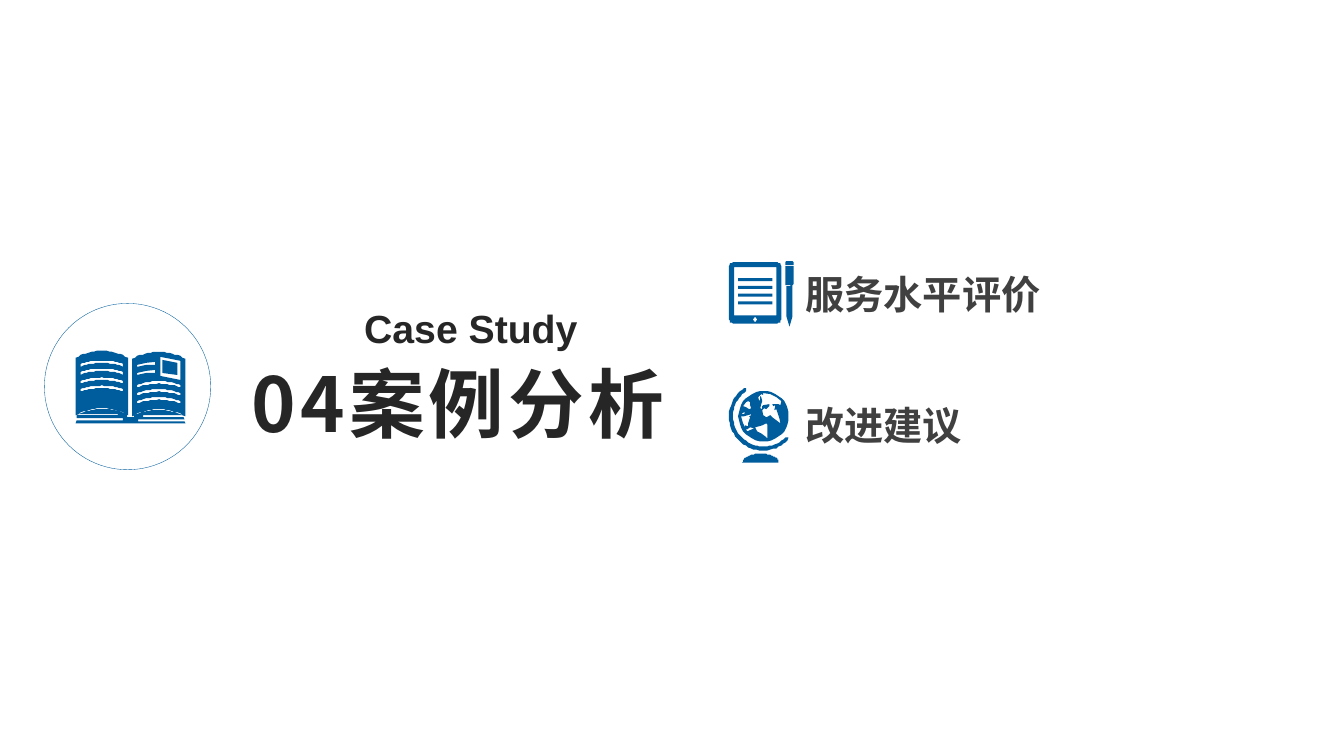
from math import cos, radians, sin

from lxml.etree import SubElement
from pptx import Presentation
from pptx.dml.color import RGBColor
from pptx.enum.shapes import MSO_SHAPE as Preset
from pptx.enum.text import MSO_ANCHOR as Anchor, PP_ALIGN as Align
from pptx.oxml.ns import qn
from pptx.util import Inches, Pt

COLORS = {"accent": "005D9D", "heading": "262626", "topic": "404040"}
LATIN, CHINESE = "Arial", "Noto Sans CJK SC"
COLUMNS, ROWS = 1333, 750


def oval(x, y, rx, ry, start=0, end=360, steps=40):
    angles = [radians(start + (end - start) * i / steps) for i in range(steps + 1)]
    return [(x + rx * cos(a), y + ry * sin(a)) for a in angles]


def rounded(left, top, right, bottom, radius):
    corners = [(right, bottom, -1, -1), (left, bottom, 1, -1),
               (left, top, 1, 1), (right, top, -1, 1)]
    return [point for i, (x, y, dx, dy) in enumerate(corners)
            for point in oval(x + dx * radius, y + dy * radius, radius, radius,
                              90 * i, 90 * (i + 1), 6)]


def arch(left, right, edge, rise, steps=20):
    shares = [i / steps for i in range(steps + 1)]
    return [(left + (right - left) * s, edge - 4 * rise * s * (1 - s)) for s in shares]


def band(left, right, top, bottom, rise):
    return arch(left, right, top, rise) + arch(right, left, bottom, rise)


class SlideBuilder:
    def __init__(self, deck):
        self.slide = deck.slides.add_slide(deck.slide_layouts[5])
        self.canvas = self.slide.shapes
        self.column = deck.slide_width / COLUMNS
        self.row = deck.slide_height / ROWS

    def box(self, left, top, width, height):
        return (round(left * self.column), round(top * self.row),
                round(width * self.column), round(height * self.row))

    def paint(self, shape):
        shape.shadow.inherit = False
        shape.fill.solid()
        shape.fill.fore_color.rgb = RGBColor.from_string(COLORS["accent"])
        shape.line.fill.background()

    def ring(self, *place):
        circle = self.canvas.add_shape(Preset.OVAL, *self.box(*place))
        circle.shadow.inherit = False
        circle.fill.background()
        circle.line.color.rgb = RGBColor.from_string(COLORS["accent"])
        circle.line.width = Pt(0.25)

    def bar(self, *place):
        self.paint(self.canvas.add_shape(Preset.RECTANGLE, *self.box(*place)))

    def outline(self, *contours):
        first, *others = contours
        builder = self.canvas.build_freeform(*first[0], scale=(self.column, self.row))
        builder.add_line_segments(first[1:])
        for contour in others:
            builder.move_to(*contour[0])
            builder.add_line_segments(contour[1:])
        self.paint(builder.convert_to_shape())

    def start_icon(self):
        self.canvas = self.slide.shapes.add_group_shape().shapes

    def end_icon(self):
        self.canvas = self.slide.shapes

    def style(self, holder, words, size, font, color, align, anchor):
        frame = holder.text_frame
        frame.text = words
        frame.word_wrap = True
        frame.vertical_anchor = anchor
        paragraph = frame.paragraphs[0]
        paragraph.alignment = align
        run = paragraph.runs[0]
        run.font.size = Pt(size)
        run.font.bold = True
        run.font.name = font
        run.font.color.rgb = RGBColor.from_string(COLORS[color])
        properties = run.font._element
        SubElement(properties, qn("a:ea")).set("typeface", font)
        return paragraph, properties

    def title(self, words, *place):
        heading = self.slide.shapes.title
        heading.left, heading.top, heading.width, heading.height = self.box(*place)
        paragraph, properties = self.style(heading, words, 54, CHINESE, "heading",
                                           Align.CENTER, Anchor.TOP)
        paragraph.line_spacing = Pt(64.5)
        properties.set("spc", "300")

    def text(self, words, place, font, color, align=Align.LEFT):
        holder = self.canvas.add_textbox(*self.box(*place))
        self.style(holder, words, 28, font, color, align, Anchor.MIDDLE)


def draw_book(page):
    page.start_icon()
    page.outline(
        [(137, 418), (137, 416), (183, 416), (182, 414), (142, 414), (142, 412)]
        + arch(181, 133, 412, 5) + [(133, 414), (126, 414)]
        + arch(126, 78, 411, 5)
        + [(117, 411), (117, 412), (76, 412), (76, 415), (122, 415), (122, 417),
           (76, 417), (75, 420), (184, 420), (183, 418)])
    page.outline(band(75, 127, 355, 412, 7),
                 *[band(80, 122, y, y + 2.5, 3.5) for y in (361, 369, 378, 386)])
    page.outline([(161, 357), (176, 360), (176, 372), (161, 370)])
    short_lines = [[(136, y), (145, y - 2), (154, y - 3), (154, y - 0.5),
                    (145, y + 0.5), (136, y + 2.5)] for y in (362, 370)]
    page.outline(band(131, 184, 356, 413, 7),
                 [(159, 354), (179, 358), (179, 377), (159, 373)], *short_lines,
                 *[band(136, 179, y, y + 2.5, 4) for y in (382, 390, 398)])
    page.end_icon()


def draw_tablet(page):
    page.start_icon()
    page.outline(rounded(723, 260, 775, 321, 5), rounded(728, 265, 770, 313, 1),
                 oval(749, 317, 2, 2))
    page.outline([(780, 259), (786, 259), (787, 260), (787, 263), (779, 263), (779, 260)])
    page.outline([(779, 264), (787, 264), (787, 282), (786, 283), (786, 314),
                  (783, 324), (780, 314), (780, 284), (784, 284), (784, 283), (779, 283)])
    for line in range(4):
        page.bar(732, 276 + 7.67 * line, 34, 3)
    page.end_icon()


def draw_globe(page):
    stand = oval(754.5, 459, 18, 9, 180, 360)
    meridian = (oval(757, 413, 34, 34, 44, 236) + [(740, 385)]
                + oval(757, 413, 30, 30, 236, 44) + [(782, 434)])
    land = [
        [(735, 410), (738, 411), (739, 409)],
        [(753, 398), (754, 396), (754, 393), (755, 394), (756, 398), (755, 401),
         (754, 405), (756, 406), (756, 403), (757, 402), (763, 401), (763, 403),
         (760, 406), (758, 405), (756, 407), (757, 412), (760, 414), (764, 412),
         (766, 414), (774, 420), (773, 415), (770, 406), (768, 407), (769, 402),
         (767, 403), (766, 401), (772, 401), (774, 402), (775, 398), (770, 394),
         (764, 391), (757, 390), (757, 392), (755, 391), (752, 394)],
        [(749, 424), (751, 428), (755, 430), (759, 433), (761, 435), (761, 421),
         (760, 420), (756, 422)],
        [(743, 413), (745, 412), (745, 411), (738, 413), (735, 413), (737, 420),
         (741, 428), (748, 425), (744, 424), (741, 426), (739, 425), (739, 422),
         (742, 423), (742, 420), (744, 414)],
        [(740, 399), (737, 403), (740, 404), (743, 406), (745, 405), (744, 402),
         (744, 399), (742, 398)]]
    page.outline(stand, oval(757.5, 413, 25, 25), *land, meridian)


def main():
    deck = Presentation()
    deck.slide_width, deck.slide_height = Inches(13.33), Inches(7.5)
    page = SlideBuilder(deck)
    page.ring(44, 301, 165, 165)
    page.title("04案例分析", 233, 349, 442, 101)
    page.text("Case Study", (350, 297, 234, 57), LATIN, "heading", Align.CENTER)
    draw_book(page)
    page.text("改进建议", (789, 393, 380, 57), CHINESE, "topic")
    draw_globe(page)
    page.text("服务水平评价", (789, 263, 401, 57), CHINESE, "topic")
    draw_tablet(page)
    deck.save("out.pptx")


if __name__ == "__main__":
    main()
